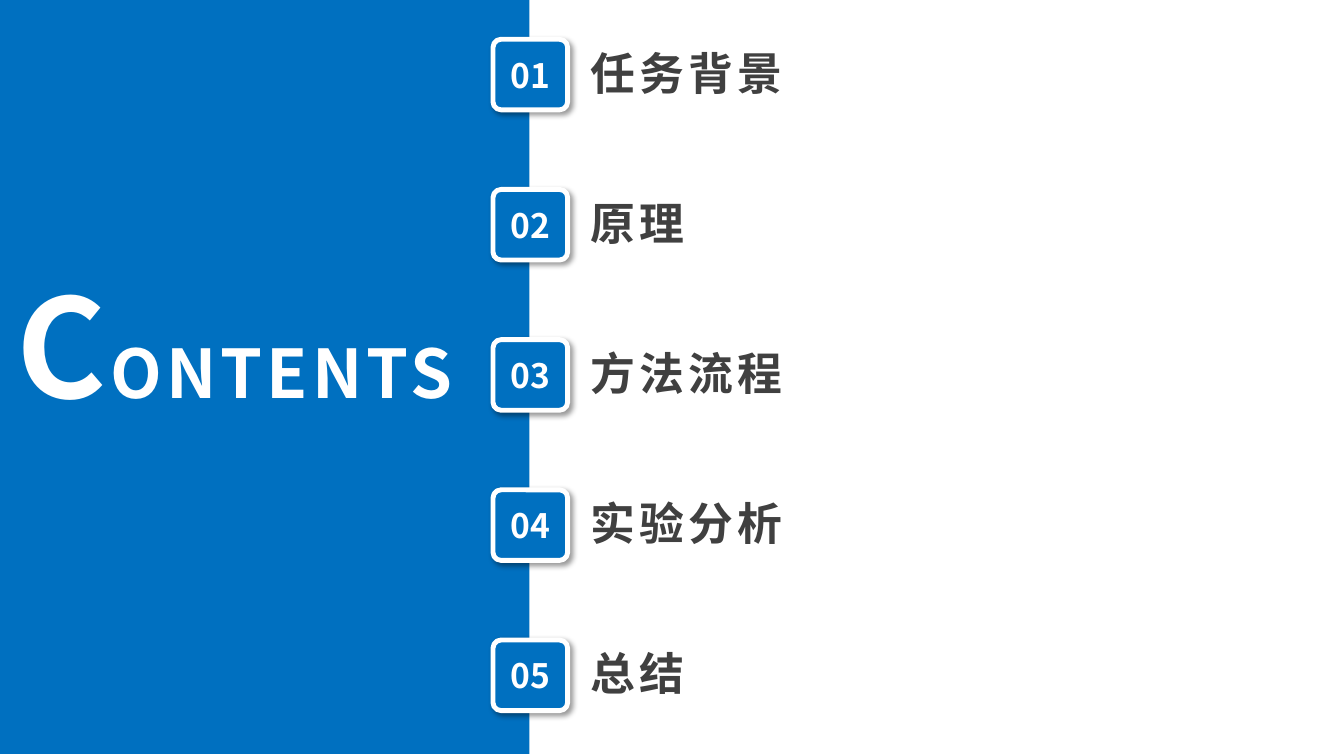
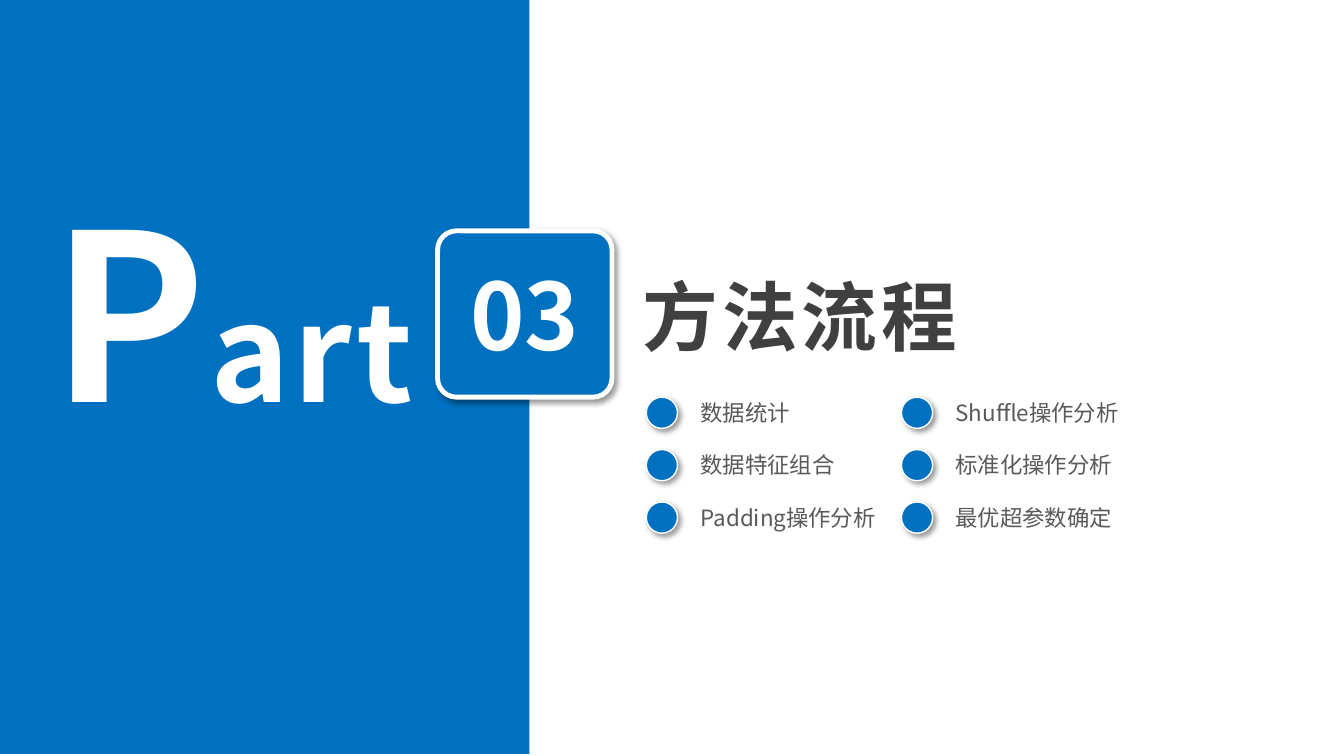
from lxml import etree
from pptx import Presentation
from pptx.dml.color import RGBColor
from pptx.enum.shapes import MSO_SHAPE
from pptx.enum.text import MSO_ANCHOR, MSO_AUTO_SIZE, PP_ALIGN
from pptx.oxml.ns import qn
from pptx.util import Inches, Pt

RECTANGLE = MSO_SHAPE.RECTANGLE
ROUNDED = MSO_SHAPE.ROUNDED_RECTANGLE
OVAL = MSO_SHAPE.OVAL
LEFT, CENTER, JUSTIFY = PP_ALIGN.LEFT, PP_ALIGN.CENTER, PP_ALIGN.JUSTIFY
TOP, MIDDLE = MSO_ANCHOR.TOP, MSO_ANCHOR.MIDDLE
NO_FIT = MSO_AUTO_SIZE.NONE
TITLE_ONLY = 5

FONT = "Noto Sans CJK SC"
BLUE, WHITE, DARK, GRAY = "0070C0", "FFFFFF", "404040", "595959"
HEADING_SPACING = 3

CHAPTERS = ["任务背景", "原理", "方法流程", "实验分析", "总结"]
CHAPTER_PITCH = 1.49
TOPIC_COLUMNS = [
    ["数据统计", "数据特征组合", "Padding操作分析"],
    ["Shuffle操作分析", "标准化操作分析", "最优超参数确定"],
]


def color(hex_code):
    """Turn a hex string into a colour."""
    return RGBColor.from_string(hex_code)


def set_attributes(target, values):
    """Set each named attribute of the target."""
    for name, value in values.items():
        setattr(target, name, value)


def write(frame, runs, ink, bold=True, spacing=0, align=LEFT, anchor=TOP):
    """Fill a text frame with one paragraph of (text, size) runs."""
    set_attributes(frame, {"word_wrap": True, "auto_size": NO_FIT, "vertical_anchor": anchor})
    paragraph = frame.paragraphs[0]
    paragraph.alignment = align
    for text, size in runs:
        run = paragraph.add_run()
        run.text = text
        set_attributes(run.font, {"name": FONT, "size": Pt(size), "bold": bold})
        run.font.color.rgb = color(ink)
        properties = run._r.get_or_add_rPr()
        properties.set("spc", str(spacing * 100))
        etree.SubElement(properties, qn("a:ea"), typeface=FONT)


def add_label(slide, box, runs, ink, **style):
    """Add a text box."""
    label = slide.shapes.add_textbox(*map(Inches, box))
    write(label.text_frame, runs, ink, **style)


def place_title(slide, box, runs, ink, **style):
    """Move the title placeholder and fill it."""
    title = slide.shapes.title
    set_attributes(title, dict(zip(("left", "top", "width", "height"), map(Inches, box))))
    write(title.text_frame, runs, ink, spacing=HEADING_SPACING, **style)


def add_blue_shape(slide, kind, box):
    """Add a blue shape without outline or shadow."""
    shape = slide.shapes.add_shape(kind, *map(Inches, box))
    shape.shadow.inherit = False
    shape.fill.solid()
    shape.fill.fore_color.rgb = color(BLUE)
    shape.line.fill.background()
    return shape


def add_raised_shape(slide, kind, box, outline):
    """Add a blue shape with a white outline and a soft shadow."""
    shape = add_blue_shape(slide, kind, box)
    shape.line.color.rgb = color(WHITE)
    shape.line.width = Pt(outline)
    effects = shape.element.spPr.find(qn("a:effectLst"))
    shadow = etree.SubElement(
        effects, qn("a:outerShdw"), blurRad=str(Pt(4)), dist=str(Pt(3)),
        dir=str(45 * 60000), algn="tl", rotWithShape="0")
    tint = etree.SubElement(shadow, qn("a:srgbClr"), val="000000")
    etree.SubElement(tint, qn("a:alpha"), val="40000")
    return shape


def add_badge(slide, box, number, size):
    """Add a rounded badge with a two-digit number."""
    badge = add_raised_shape(slide, ROUNDED, box, 3.5)
    badge.adjustments[0] = 0.114
    frame = badge.text_frame
    sides = ("left", "top", "right", "bottom")
    set_attributes(frame, {f"margin_{side}": 0 for side in sides})
    write(frame, [(f"{number:02d}", size)], WHITE, align=CENTER, anchor=MIDDLE)


def add_banded_slide(deck):
    """Add a title-only slide with the blue band behind its title."""
    slide = deck.slides.add_slide(deck.slide_layouts[TITLE_ONLY])
    band = add_blue_shape(slide, RECTANGLE, (0, -0.02, 5.25, 7.5))
    slide.shapes.title.element.addprevious(band.element)
    return slide


def build_contents(deck):
    """Build the table of contents."""
    slide = add_banded_slide(deck)
    place_title(slide, (0.06, 2.54, 5.55, 1.78), [("C", 98), ("ONTENTS", 48)],
                WHITE, align=JUSTIFY)
    for index, chapter in enumerate(CHAPTERS):
        offset = index * CHAPTER_PITCH
        add_badge(slide, (4.89, 0.39 + offset, 0.74, 0.7), index + 1, 24)
        add_label(slide, (5.76, 0.4 + offset, 5.48, 0.64), [(chapter, 32)],
                  DARK, spacing=HEADING_SPACING)


def build_part(deck, number):
    """Build the opening slide of one chapter with its topics."""
    slide = add_banded_slide(deck)
    add_label(slide, (0, 1.64, 4.61, 2.89), [("P", 166), ("art", 96)],
              WHITE, spacing=HEADING_SPACING, align=CENTER)
    add_badge(slide, (4.34, 2.29, 1.73, 1.65), number, 66)
    place_title(slide, (6.27, 2.63, 5.48, 1.01), [(CHAPTERS[number - 1], 54)], DARK)
    for column, topics in enumerate(TOPIC_COLUMNS):
        left = 6.41 + column * 2.53
        for row, topic in enumerate(topics):
            top = 3.91 + row * 0.52
            add_raised_shape(slide, OVAL, (left, top + 0.03, 0.31, 0.31), 1)
            add_label(slide, (left + 0.44, top, 2.73, 0.37), [(topic, 16)], GRAY, bold=False)


def main():
    """Build and save the deck."""
    deck = Presentation()
    set_attributes(deck, {"slide_width": Inches(13.33), "slide_height": Inches(7.5)})
    build_contents(deck)
    build_part(deck, 3)
    deck.save("out.pptx")


if __name__ == "__main__":
    main()
